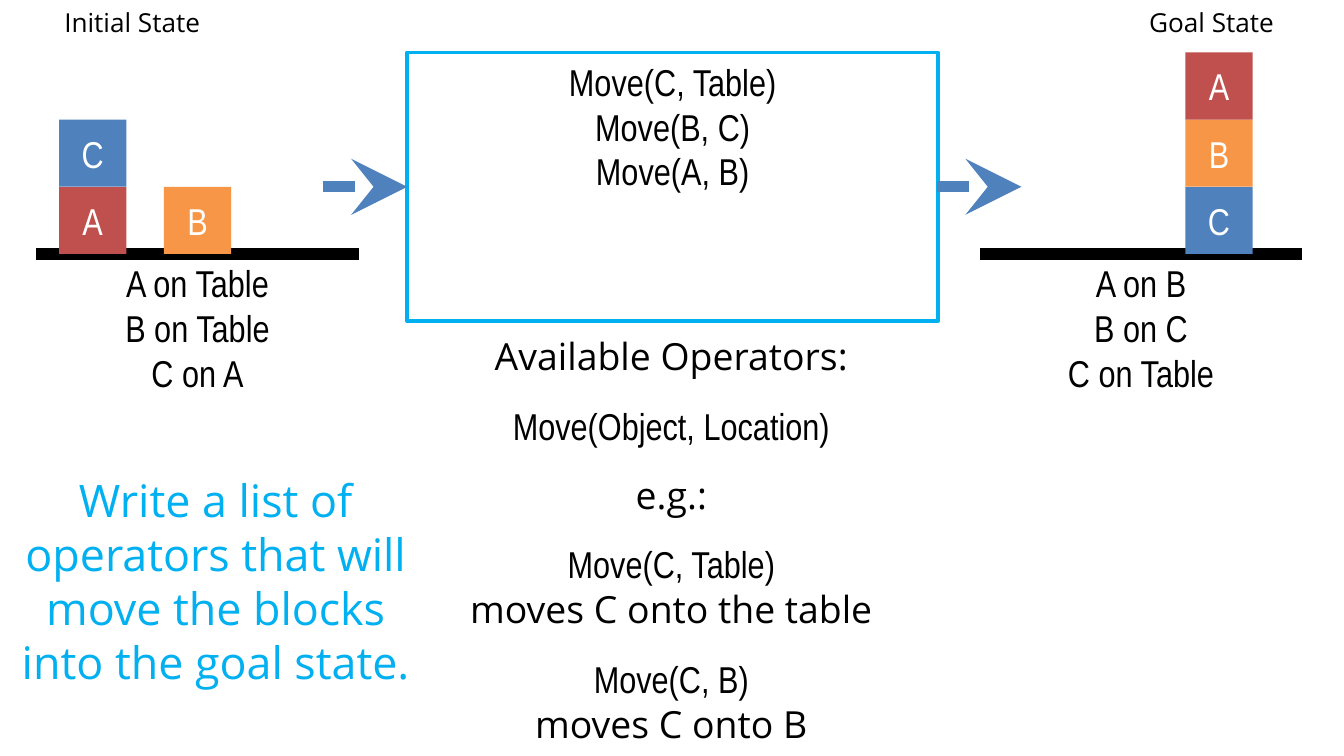
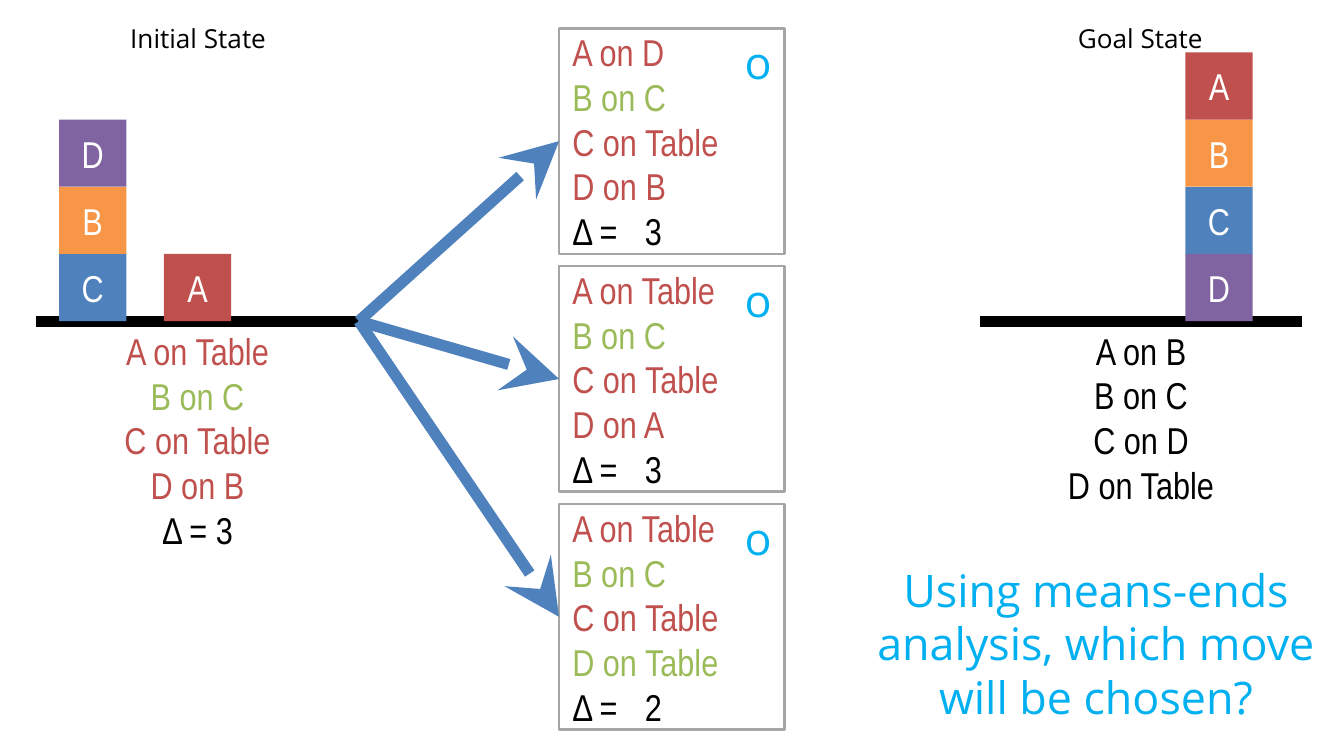
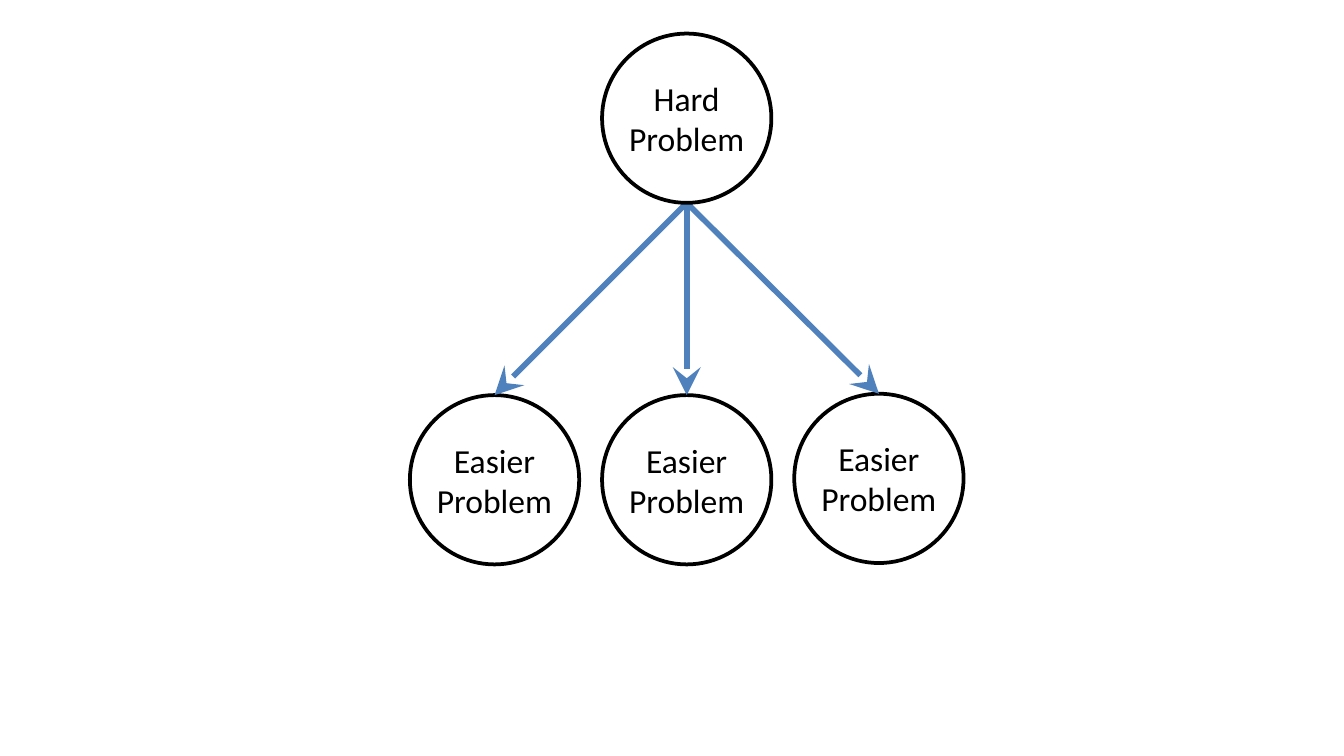
from lxml import etree
from pptx import Presentation
from pptx import util as u
from pptx.dml import color
from pptx.enum import shapes, text
from pptx.oxml import ns

HUES = {
    "black": "000000", "white": "FFFFFF", "gray": "A6A6A6", "cyan": "00B0F0",
    "red": "C0504D", "blue": "4F81BD", "orange": "F79646",
    "purple": "8064A2", "green": "9BBB59",
}
BLOCKS = {"A": "red", "B": "orange", "C": "blue", "D": "purple"}
NARROW, SANS, PLAIN = "Arial Narrow", "Open Sans", "Calibri"
MID, LEFT, RIGHT = text.PP_ALIGN.CENTER, text.PP_ALIGN.LEFT, text.PP_ALIGN.RIGHT
SIDE = 0.5
TOP = 0.39
START, GOAL, WIDE = 0.27, 7.29, 2.4
GOAL_X = 8.82


def hue(name):
    return color.RGBColor.from_string(HUES[name])


def place(item, left, top, width, height):
    item.left, item.top = u.Inches(left), u.Inches(top)
    item.width, item.height = u.Inches(width), u.Inches(height)


def write(frame, lines, size=20, font=NARROW, ink="black", align=MID):
    frame.word_wrap = True
    frame.text = "\n".join(lines)
    for para in frame.paragraphs:
        para.alignment = align
        for run in para.runs:
            run.font.size = u.Pt(size)
            run.font.name = font
            run.font.color.rgb = hue(ink)


def label(slide, box, lines, **style):
    item = slide.shapes.add_textbox(*map(u.Inches, box))
    write(item.text_frame, lines, **style)
    item.text_frame.auto_size = text.MSO_AUTO_SIZE.SHAPE_TO_FIT_TEXT
    return item.text_frame


def shape(slide, kind, box, fill=None, edge=None, weight=2):
    item = slide.shapes.add_shape(kind, *map(u.Inches, box))
    item.shadow.inherit = False
    if fill:
        item.fill.solid()
        item.fill.fore_color.rgb = hue(fill)
    else:
        item.fill.background()
    if edge:
        item.line.color.rgb = hue(edge)
        item.line.width = u.Pt(weight)
    else:
        item.line.fill.background()
    item.text_frame.vertical_anchor = text.MSO_ANCHOR.MIDDLE
    return item


def line(slide, start, end, ink="blue", weight=6, head=True):
    item = slide.shapes.add_connector(
        shapes.MSO_CONNECTOR.STRAIGHT, *map(u.Inches, (*start, *end)))
    item.line.color.rgb = hue(ink)
    item.line.width = u.Pt(weight)
    if head:
        edge = item.line._get_or_add_ln()
        etree.SubElement(edge, ns.qn("a:tailEnd"), type="stealth", w="lg", len="lg")
    etree.SubElement(item._element.spPr, ns.qn("a:effectLst"))


def stack(slide, left, base, names):
    for level, name in enumerate(names, 1):
        box = (left, base - SIDE * level, SIDE, SIDE)
        item = shape(slide, shapes.MSO_SHAPE.RECTANGLE, box, BLOCKS[name])
        write(item.text_frame, [name], ink="white")


def scene(slide, base, piles, goal):
    for left in (START, GOAL):
        line(slide, (left, base), (left + WIDE, base), "black", head=False)
    for left, names in zip((0.44, 1.22), piles):
        stack(slide, left, base, names)
    stack(slide, GOAL_X, base, goal)


def heads(slide, top, first, last):
    for left, word in ((first, "Initial"), (last, "Goal")):
        label(slide, (left, top, 1.47, 0.34), [f"{word} State"], size=14, font=SANS)


def facts(slide, left, base, lines):
    return label(slide, (left, base, WIDE, 0.11 + len(lines) / 3), lines)


def task(slide, box, words):
    item = slide.shapes.title
    place(item, *box)
    frame = item.text_frame
    write(frame, [words], 24, SANS, "cyan")
    frame.auto_size = text.MSO_AUTO_SIZE.NONE
    frame.vertical_anchor = text.MSO_ANCHOR.MIDDLE
    frame.margin_left = frame.margin_right = 0
    frame.margin_top = frame.margin_bottom = u.Inches(0.05)


def grade(frame, goal):
    for para in frame.paragraphs[:-1]:
        ink = "green" if para.text in goal else "red"
        para.runs[0].font.color.rgb = hue(ink)


def delta(state, goal):
    return sum(fact not in goal for fact in state)


def tab(para, where):
    tabs = etree.SubElement(para._p.get_or_add_pPr(), ns.qn("a:tabLst"))
    etree.SubElement(tabs, ns.qn("a:tab"), pos=str(u.Inches(where)), algn="l")


def plan(slide):
    base, mid = 1.89, 1.39
    scene(slide, base, ("AC", "B"), "CBA")
    heads(slide, 0, 0.25, 8.28)
    facts(slide, START, base, ["A on Table", "B on Table", "C on A"])
    facts(slide, GOAL, base, ["A on B", "B on C", "C on Table"])

    rows = [
        ("Available Operators:", SANS, False),
        ("Move(Object, Location)", NARROW, True),
        ("e.g.:", SANS, True),
        ("Move(C, Table)", NARROW, True),
        ("moves C onto the table", SANS, False),
        ("Move(C, B)", NARROW, True),
        ("moves C onto B", SANS, False),
    ]
    frame = label(slide, (3.19, 2.43, 3.61, 3.21), [row[0] for row in rows])
    for para, (_, font, gap) in zip(frame.paragraphs, rows):
        para.runs[0].font.name = font
        if gap:
            para.space_before = u.Pt(13.2)

    box = shape(slide, shapes.MSO_SHAPE.RECTANGLE, (3.03, TOP, 3.95, 2), edge="cyan")
    write(box.text_frame, ["Move(C, Table)", "Move(B, C)", "Move(A, B)"])
    box.text_frame.vertical_anchor = text.MSO_ANCHOR.TOP
    for left in (2.4, 6.97):
        line(slide, (left, mid), (left + 0.63, mid))
    task(slide, (0.01, 3.02, 3.19, 2.6),
         "Write a list of operators that will move the blocks into the goal state.")


def means(slide):
    base, size = 2.39, 1.68
    goal = ["A on B", "B on C", "C on D", "D on Table"]
    first = ["A on Table", "B on C", "C on Table", "D on B"]
    moves = [
        ["A on D", "B on C", "C on Table", "D on B"],
        ["A on Table", "B on C", "C on Table", "D on A"],
        ["A on Table", "B on C", "C on Table", "D on Table"],
    ]
    scene(slide, base, ("CBD", "A"), "DCBA")
    heads(slide, 0.12, 0.74, 7.75)
    facts(slide, GOAL, base, goal)
    for order, state in enumerate(moves):
        top = 0.21 + 1.77 * order
        box = shape(slide, shapes.MSO_SHAPE.RECTANGLE,
                    (4.16, top, size, size), edge="gray", weight=1.5)
        frame = box.text_frame
        write(frame, state + [f"Δ =\t{delta(state, goal)}"], align=LEFT)
        grade(frame, goal)
        tab(frame.paragraphs[-1], 0.54)
        line(slide, (START + WIDE, base), (4.16, top + size / 2))
        label(slide, (5.29, top, 0.55, 0.5), ["ο"],
              size=24, font=SANS, ink="cyan", align=RIGHT)
    grade(facts(slide, START, base, first + [f"Δ = {delta(first, goal)}"]), goal)
    task(slide, (6.31, 4.03, 3.69, 1.51),
         "Using means-ends analysis, which move will be chosen?")


def node(slide, left, top, size, words):
    item = shape(slide, shapes.MSO_SHAPE.OVAL, (left, top, size, size),
                 "white", "black")
    frame = item.text_frame
    write(frame, [words], 18, PLAIN)
    frame.margin_left = frame.margin_right = 0
    frame.margin_top = frame.margin_bottom = 0


def split(slide):
    size, top, step, left = 1.26, 0.25, 1.43, 3.05
    half = size / 2
    root = left + step
    spots = [(left + step * order, low)
             for order, low in enumerate((2.94, 2.94, 2.93))]
    for spot, low in spots:
        node(slide, spot, low, size, "Easier Problem")
    for spot, low in spots:
        line(slide, (root + half, top + size), (spot + half, low), weight=3)
    node(slide, root, top, size, "Hard Problem")


def main():
    deck = Presentation()
    deck.slide_width = u.Inches(10)
    deck.slide_height = deck.slide_width * 9 // 16
    for build, layout in ((plan, 5), (means, 5), (split, 6)):
        build(deck.slides.add_slide(deck.slide_layouts[layout]))
    deck.save("out.pptx")


main()
